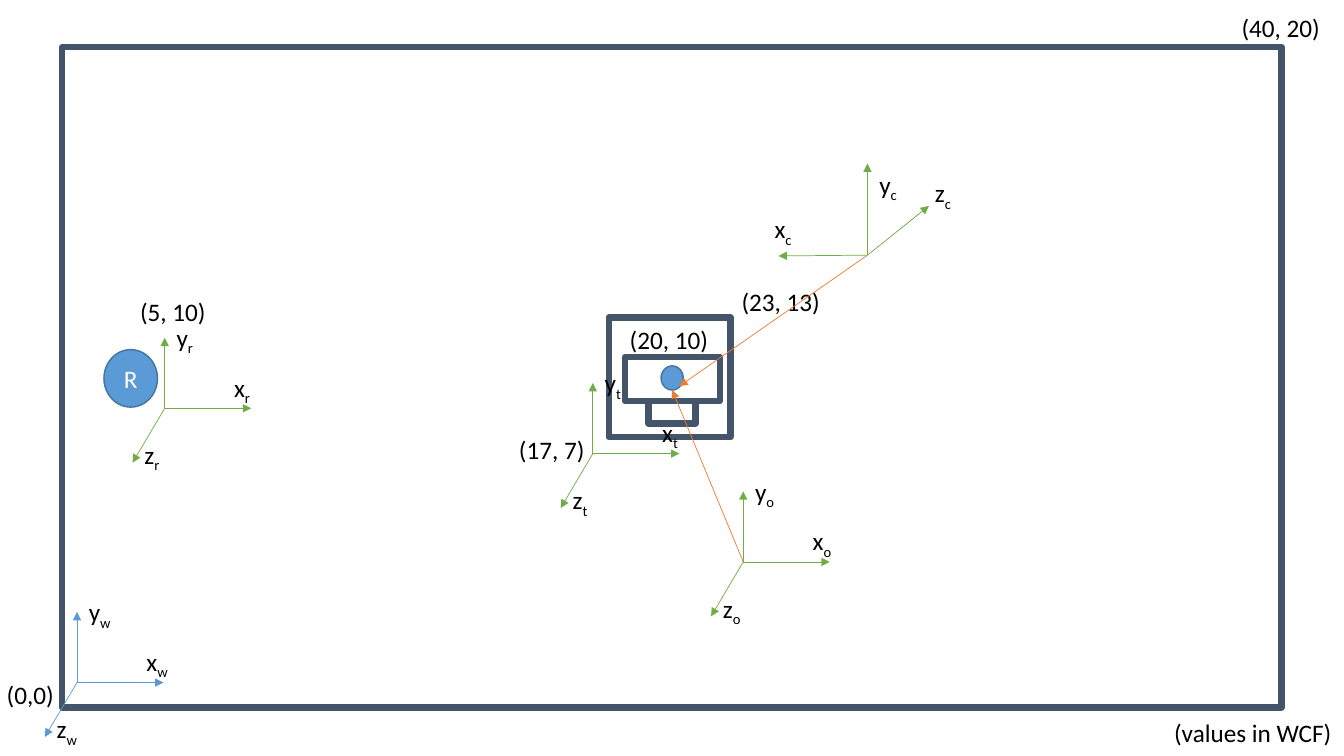
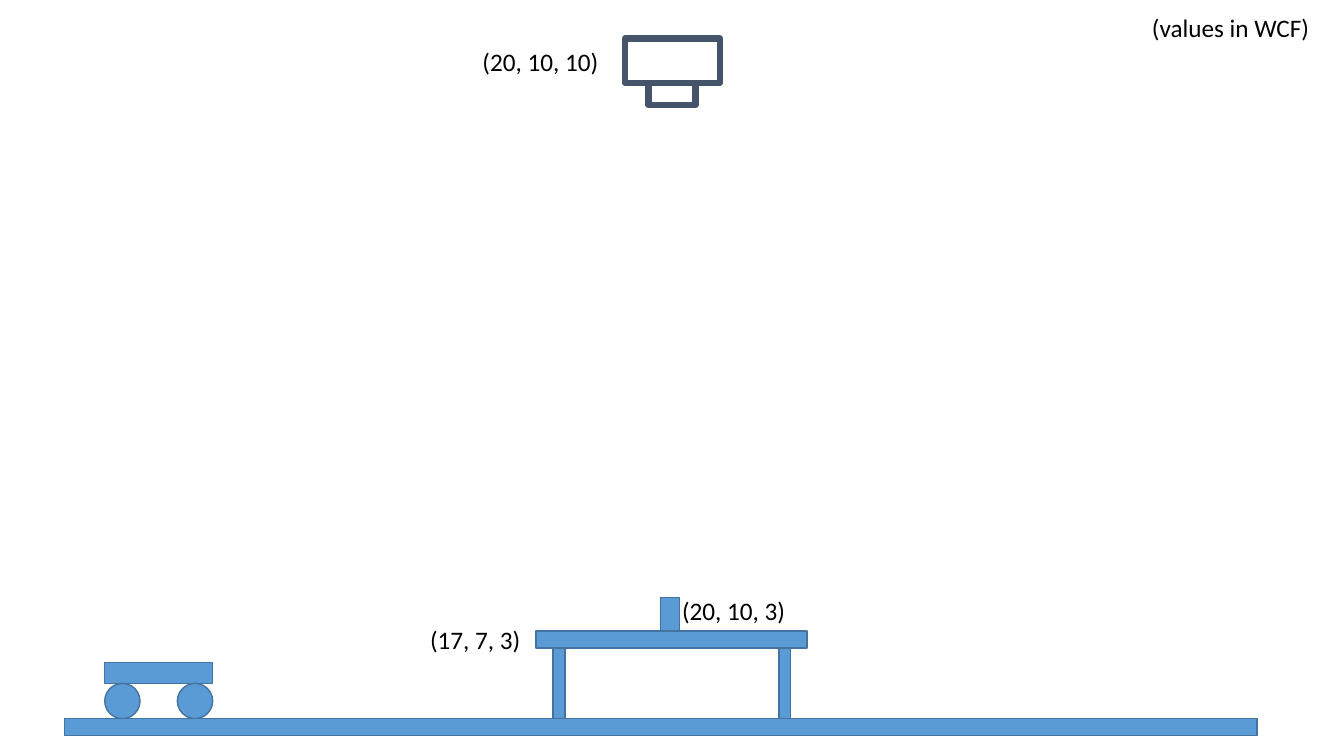
"""Build two slides showing a robot workspace from above and from the side."""
from lxml.etree import SubElement
from pptx import Presentation
from pptx.dml.color import RGBColor
from pptx.enum.shapes import MSO_CONNECTOR, MSO_SHAPE
from pptx.enum.text import MSO_ANCHOR, PP_ALIGN
from pptx.oxml.ns import qn
from pptx.util import Cm, Pt

rgb = RGBColor.from_string
RECT, OVAL = MSO_SHAPE.RECTANGLE, MSO_SHAPE.OVAL
FONT, SIZE = "Calibri", Pt(18)
INK, WHITE = "000000", "FFFFFF"
BLUE, BLUE_EDGE, SLATE = "5B9BD5", "43739E", "44546A"
GREEN, ORANGE = "70AD47", "ED7D31"
LABEL_HEIGHT = 1.02


def add_label(shapes, left, top, width, text, subscript=""):
    """Write one line of text, with an optional subscript."""
    label = shapes.add_textbox(Cm(left), Cm(top), Cm(width), Cm(LABEL_HEIGHT))
    label.text_frame.word_wrap = False
    line = label.text_frame.paragraphs[0]
    line.font.name, line.font.size = FONT, SIZE
    line.font.color.rgb = rgb(INK)
    line.add_run().text = text
    if subscript:
        lowered = line.add_run()
        lowered.text = subscript
        lowered.font._element.set("baseline", "-25000")


def add_arrow(shapes, start, end, colour):
    """Draw a thin arrow between two points."""
    arrow = shapes.add_connector(
        MSO_CONNECTOR.STRAIGHT, *[Cm(v) for v in (*start, *end)])
    arrow.line.color.rgb = rgb(colour)
    arrow.line.width = Pt(0.5)
    properties = arrow._element.spPr
    SubElement(properties.find(qn("a:ln")), qn("a:tailEnd"), type="triangle")
    SubElement(properties, qn("a:effectLst"))


deck = Presentation()
deck.slide_width, deck.slide_height = Cm(33.87), Cm(19.05)
blank = deck.slide_layouts[6]
top_view = deck.slides.add_slide(blank).shapes
side_view = deck.slides.add_slide(blank).shapes

outlines = [
    (top_view, 1.57, 1.19, 30.73, 16.64),
    (top_view, 15.34, 8, 3.07, 3.02),
]
for view, camera_top in ((top_view, 8.99), (side_view, 0.97)):
    camera = view.add_group_shape().shapes
    outlines += [
        (camera, 15.75, camera_top, 2.39, 1.12),
        (camera, 16.34, camera_top + 1.12, 1.19, 0.56),
    ]
for shapes, *place in outlines:
    outline = shapes.add_shape(RECT, *[Cm(v) for v in place])
    outline.shadow.inherit = False
    outline.fill.background()
    outline.line.color.rgb = rgb(SLATE)
    outline.line.width = Pt(4.5)

cart = side_view.add_group_shape().shapes
solids = [
    (top_view, OVAL, 16.66, 9.22, 0.56, 0.61, ""),
    (top_view, OVAL, 2.62, 8.81, 1.35, 1.45, "R"),
    (side_view, RECT, 1.63, 18.11, 30.05, 0.43, ""),
    (cart, RECT, 2.64, 16.69, 2.72, 0.53, ""),
    (cart, OVAL, 2.64, 17.22, 0.89, 0.89, ""),
    (cart, OVAL, 4.47, 17.22, 0.89, 0.89, ""),
    (side_view, RECT, 13.51, 15.9, 6.83, 0.43, ""),
    (side_view, RECT, 13.94, 16.33, 0.3, 1.78, ""),
    (side_view, RECT, 19.63, 16.33, 0.3, 1.78, ""),
    (side_view, RECT, 16.64, 15.06, 0.48, 0.84, ""),
]
for shapes, form, *place, name in solids:
    solid = shapes.add_shape(form, *[Cm(v) for v in place])
    solid.shadow.inherit = False
    solid.fill.solid()
    solid.fill.fore_color.rgb = rgb(BLUE)
    solid.line.color.rgb = rgb(BLUE_EDGE)
    solid.line.width = Pt(1)
    if name:
        solid.text_frame.text = name
        solid.text_frame.vertical_anchor = MSO_ANCHOR.MIDDLE
        caption = solid.text_frame.paragraphs[0]
        caption.alignment = PP_ALIGN.CENTER
        caption.font.name, caption.font.size = FONT, SIZE
        caption.font.color.rgb = rgb(WHITE)

for coordinates in (
    (top_view, -0.08, 16.99, 1.73, "(0,0)"),
    (top_view, 31.04, 0.18, 2.51, "(40, 20)"),
    (top_view, 15.62, 8.05, 2.51, "(20, 10)"),
    (top_view, 12.83, 10.82, 2.18, "(17, 7)"),
    (top_view, 18.44, 7.09, 2.51, "(23, 13)"),
    (top_view, 3.28, 7.34, 2.18, "(5, 10)"),
    (top_view, 29.34, 17.96, 4.52, "(values in WCF)"),
    (side_view, 11.91, 1.04, 3.48, "(20, 10, 10)"),
    (side_view, 16.94, 14.88, 3.15, "(20, 10, 3)"),
    (side_view, 10.59, 15.6, 2.82, "(17, 7, 3)"),
    (side_view, 28.78, 0.18, 4.52, "(values in WCF)"),
):
    add_label(*coordinates)

# Each axis: letter, arrow tip and label corner, relative to the frame's origin
floor_axes = (
    ("x", (2.18, 0), (1.5, -1.04)),
    ("y", (0, -1.78), (0.05, -2.29)),
    ("z", (-0.81, 1.37), (-0.76, 0.66)),
)
camera_axes = (
    ("x", (-2.24, 0.02), (-2.59, -1.17)),
    ("y", (0, -2.31), (0.05, -2.29)),
    ("z", (1.55, -1.24), (1.45, -2.08)),
)
camera_origin, object_origin = (21.86, 6.43), (18.73, 14.16)
for letter, (x, y), axes, colour, width in (
    ("w", (1.94, 17.2), floor_axes, BLUE, 1.09),
    ("r", (4.15, 10.29), floor_axes, GREEN, 0.94),
    ("t", (14.94, 11.43), floor_axes, GREEN, 0.94),
    ("c", camera_origin, camera_axes, GREEN, 0.96),
    ("o", object_origin, floor_axes, GREEN, 1),
):
    frame = top_view.add_group_shape().shapes
    for axis, (tip_x, tip_y), (label_x, label_y) in axes:
        add_arrow(frame, (x, y), (x + tip_x, y + tip_y), colour)
        add_label(frame, x + label_x, y + label_y, width, axis, letter)

add_arrow(top_view, camera_origin, (17.12, 9.73), ORANGE)
add_arrow(top_view, object_origin, (16.94, 9.83), ORANGE)

deck.save("out.pptx")
